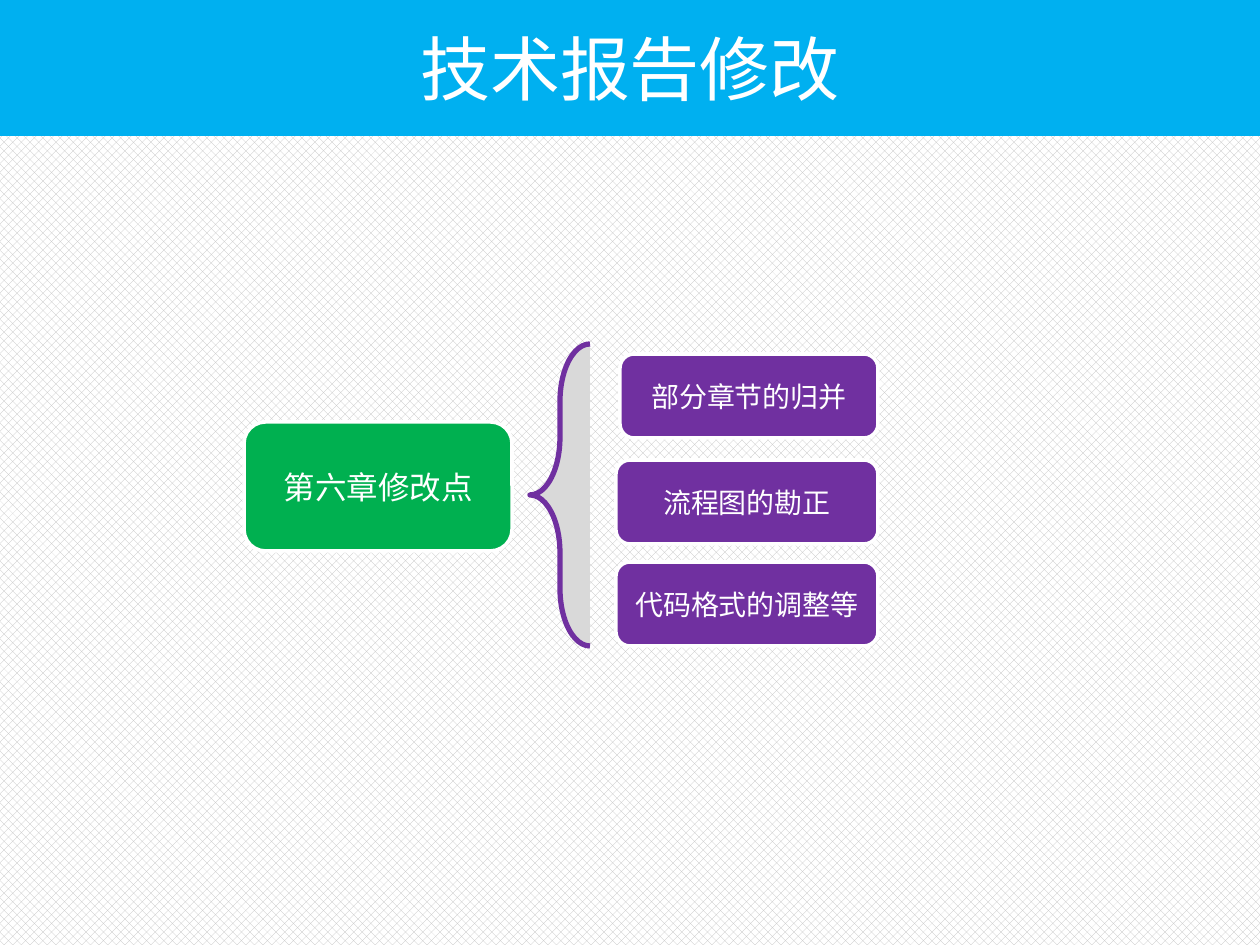
"""Build a slide listing the changes to chapter six of a technical report."""
import dataclasses
import typing

import lxml.etree
import pptx
import pptx.dml.color
import pptx.enum.dml
import pptx.enum.shapes
import pptx.enum.text
import pptx.oxml.ns
import pptx.util

SCALE = 914400 / 126
WHITE, SKY, GREEN, PURPLE = "FFFFFF", "00B0F0", "00B050", "7030A0"
SHAPE = pptx.enum.shapes.MSO_SHAPE


@dataclasses.dataclass
class Box:
    text: str
    left: int
    top: int
    width: int
    height: int
    fill: str
    size: int


BOXES = [
    Box("第六章修改点", 244, 422, 268, 129, GREEN, 18),
    Box("部分章节的归并", 620, 354, 258, 84, PURPLE, 16),
    Box("流程图的勘正", 616, 460, 262, 84, PURPLE, 16),
    Box("代码格式的调整等", 616, 562, 262, 84, PURPLE, 16),
]


def px(count: int) -> pptx.util.Emu:
    """Turn pixels into EMU."""
    return pptx.util.Emu(round(count * SCALE))


def tint(code: str) -> pptx.dml.color.RGBColor:
    """Turn a hex string into a colour."""
    return pptx.dml.color.RGBColor.from_string(code)


def paint(shape: typing.Any, fill: str, edge: str, width: float) -> None:
    """Set the fill and outline of a shape."""
    shape.fill.solid()
    shape.fill.fore_color.rgb = tint(fill)
    shape.line.color.rgb = tint(edge)
    shape.line.width = pptx.util.Pt(width)


def write(shape: typing.Any, text: str, *, size: int, font: str = "Calibri",
          east: str = "Noto Sans CJK JP", color: str = WHITE) -> None:
    """Put centred, formatted text in a shape."""
    frame = shape.text_frame
    frame.word_wrap = True
    frame.auto_size = pptx.enum.text.MSO_AUTO_SIZE.NONE
    frame.vertical_anchor = pptx.enum.text.MSO_ANCHOR.MIDDLE
    para = frame.paragraphs[0]
    para.alignment = pptx.enum.text.PP_ALIGN.CENTER
    run = para.add_run()
    run.text = text
    run.font.size = pptx.util.Pt(size)
    run.font.name = font
    run.font.color.rgb = tint(color)
    latin = run.font._element.find(pptx.oxml.ns.qn("a:latin"))
    asian = lxml.etree.Element(pptx.oxml.ns.qn("a:ea"), typeface=east)
    latin.addnext(asian)


def head(slide: typing.Any, text: str) -> None:
    """Format the title as a band across the top."""
    title = slide.shapes.title
    title.left, title.top, title.width, title.height = map(px, (0, 0, 1260, 135))
    paint(title, SKY, SKY, 1.5)
    write(title, text, size=40, font="Noto Sans CJK JP")


def block(slide: typing.Any, box: Box) -> None:
    """Draw one rounded box with its label."""
    shape = slide.shapes.add_shape(
        SHAPE.ROUNDED_RECTANGLE, px(box.left), px(box.top), px(box.width), px(box.height))
    shape.shadow.inherit = False
    paint(shape, box.fill, WHITE, 2)
    write(shape, box.text, size=box.size)


def brace(slide: typing.Any) -> None:
    """Draw the brace between the topic and its points."""
    shape = slide.shapes.add_shape(SHAPE.LEFT_BRACE, px(530), px(344), px(60), px(302))
    shape.shadow.inherit = False
    shape.adjustments[0] = 0.96
    paint(shape, "D9D9D9", PURPLE, 3)


def main() -> None:
    """Build and save the slide."""
    deck = pptx.Presentation()
    deck.slide_width, deck.slide_height = px(1260), px(945)
    slide = deck.slides.add_slide(deck.slide_layouts[5])
    fill = slide.background.fill
    fill.patterned()
    fill.pattern = pptx.enum.dml.MSO_PATTERN.PERCENT_50
    fill.fore_color.rgb = tint("BFBFBF")
    fill.back_color.rgb = tint(WHITE)
    head(slide, "技术报告修改")
    for box in BOXES:
        block(slide, box)
    brace(slide)
    deck.save("out.pptx")


if __name__ == "__main__":
    main()
